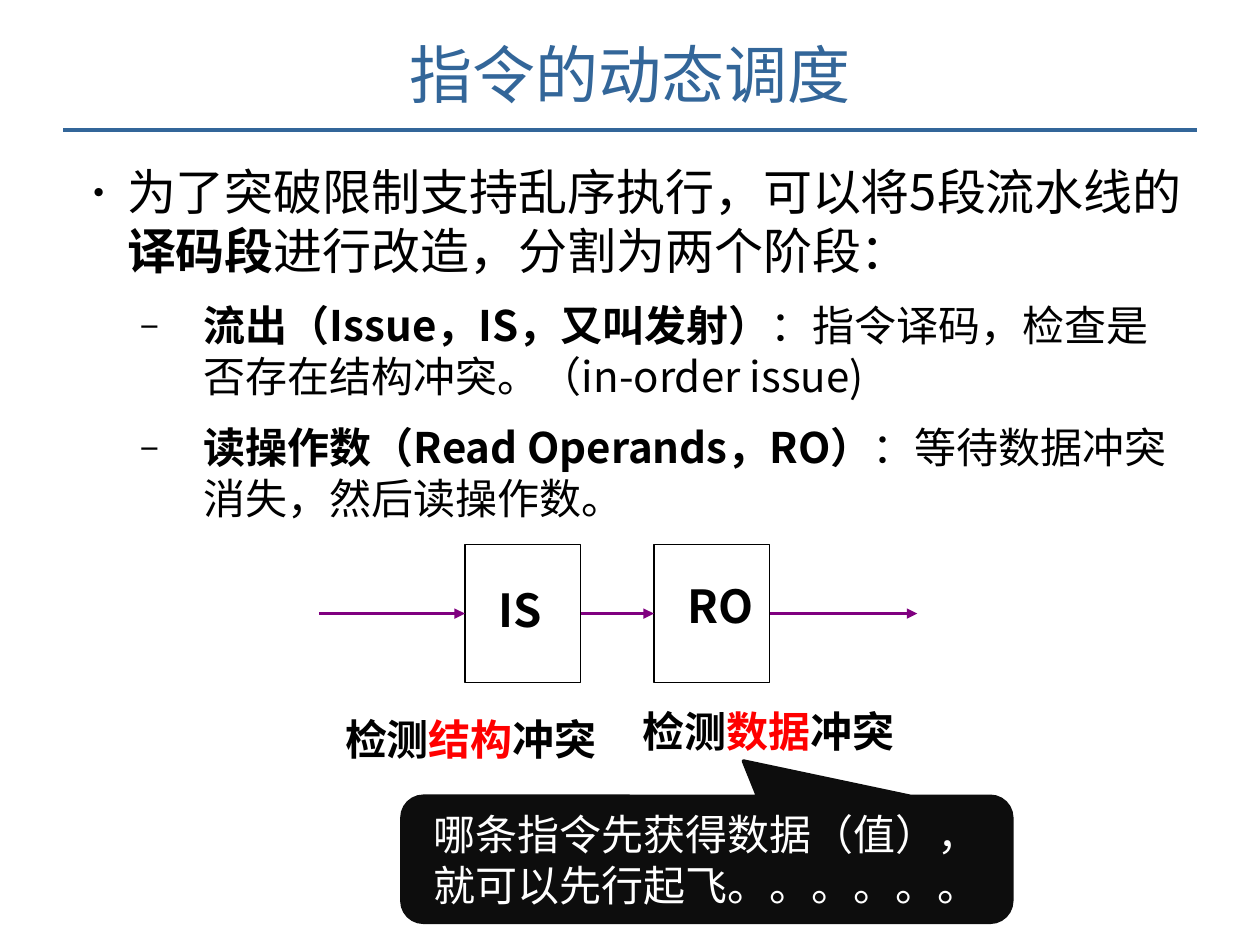
from pptx import Presentation
from pptx.dml.color import RGBColor
from pptx.enum.shapes import MSO_CONNECTOR, MSO_SHAPE
from pptx.enum.text import MSO_ANCHOR, PP_ALIGN
from pptx.oxml.ns import qn
from pptx.util import Inches, Pt
from lxml.etree import SubElement

FONT = "Noto Sans CJK SC"
BLACK, WHITE, RED = "000000", "FFFFFF", "FF0000"
BLUE, PURPLE, CHARCOAL = "336699", "800080", "0D0D0D"
LEFT, RIGHT = 1, 3


def color(hex_text):
    return RGBColor.from_string(hex_text)


def add_span(para, text, size, ink=BLACK, bold=False):
    span = para.add_run()
    span.text = text
    font = span.font
    font.size, font.bold, font.name = Pt(size), bold, FONT
    font.color.rgb = color(ink)
    SubElement(font._element, qn("a:ea"), typeface=FONT)


def add_text_box(page, left, top, width, height):
    box = page.shapes.add_textbox(Inches(left), Inches(top), Inches(width), Inches(height))
    box.text_frame.word_wrap = True
    return box.text_frame


def add_bullet(para, char, left, hanging):
    para.space_before = para.space_after = Pt(6)
    props = para._p.get_or_add_pPr()
    props.set("marL", str(Inches(left)))
    props.set("indent", str(-Inches(hanging)))
    ink = SubElement(props, qn("a:buClr"))
    SubElement(ink, qn("a:srgbClr"), val=BLACK)
    SubElement(props, qn("a:buSzPct"), val="80000")
    SubElement(props, qn("a:buFont"), typeface=FONT)
    SubElement(props, qn("a:buChar"), char=char)


def add_line(page, start, end, ink, width, arrow=False):
    line = page.shapes.add_connector(
        MSO_CONNECTOR.STRAIGHT, *[Inches(value) for value in (*start, *end)])
    line.line.color.rgb = color(ink)
    line.line.width = Pt(width)
    if arrow:
        SubElement(line.line._get_or_add_ln(), qn("a:tailEnd"), type="triangle")
    SubElement(line._element.spPr, qn("a:effectLst"))
    return line


def add_stage(page, left):
    stage = page.shapes.add_shape(
        MSO_SHAPE.RECTANGLE, Inches(left), Inches(4.32), Inches(0.92), Inches(1.1))
    stage.shadow.inherit = False
    stage.fill.background()
    stage.line.color.rgb = color(BLACK)
    stage.line.width = Pt(0.75)
    return stage


def add_stage_name(page, name, left, top):
    para = add_text_box(page, left, top, 1.33, 0.53).paragraphs[0]
    add_span(para, name, 26, bold=True)


def add_check_label(page, hazard, left, top, width, height, spacing=1.0):
    para = add_text_box(page, left, top, width, height).paragraphs[0]
    para.line_spacing = spacing
    for text, ink in (("检测", BLACK), (hazard, RED), ("冲突", BLACK)):
        add_span(para, text, 24, ink, bold=True)


def add_title(page, text):
    para = add_text_box(page, 0, 0.23, 10, 0.75).paragraphs[0]
    para.alignment = PP_ALIGN.CENTER
    add_span(para, text, 36, BLUE)
    add_line(page, (0.5, 1.03), (9.5, 1.03), BLUE, 2)


def add_body(page):
    top_level, sub_level = ("•", 0.38, 0.38), ("−", 0.99, 0.5)
    points = [
        (top_level, 28, [("为了突破限制支持乱序执行，可以将5段流水线的", False),
                         ("译码段", True),
                         ("进行改造，分割为两个阶段：", False)]),
        (sub_level, 24, [("流出（Issue，IS，又叫发射）", True),
                         ("：指令译码，检查是否存在结构冲突。（in-order issue)", False)]),
        (sub_level, 24, [("读操作数（Read Operands，RO）", True),
                         ("：等待数据冲突消失，然后读操作数。", False)]),
    ]
    frame = add_text_box(page, 0.53, 1.23, 8.99, 3.11)
    for index, (bullet, size, spans) in enumerate(points):
        para = frame.add_paragraph() if index else frame.paragraphs[0]
        add_bullet(para, *bullet)
        for text, bold in spans:
            add_span(para, text, size, bold=bold)


def add_pipeline(page):
    issue, read = add_stage(page, 3.69), add_stage(page, 5.19)
    add_stage_name(page, "IS", 3.86, 4.57)
    add_stage_name(page, "RO", 5.36, 4.54)
    middle = 4.87
    for start, end, source, target in (
            (2.53, 3.69, None, issue), (4.61, 5.19, issue, read), (6.11, 7.28, read, None)):
        arrow = add_line(page, (start, middle), (end, middle), PURPLE, 1.5, arrow=True)
        if source is not None:
            arrow.begin_connect(source, RIGHT)
        if target is not None:
            arrow.end_connect(target, LEFT)
    add_check_label(page, "结构", 2.64, 5.53, 2.44, 0.54, spacing=1.2)
    add_check_label(page, "数据", 5, 5.55, 2.95, 0.5)


def add_callout(page, text):
    callout = page.shapes.add_shape(
        MSO_SHAPE.ROUNDED_RECTANGULAR_CALLOUT,
        Inches(3.19), Inches(6.32), Inches(4.84), Inches(1))
    for index, value in enumerate((0.06, -0.78, 0.17)):
        callout.adjustments[index] = value
    callout.shadow.inherit = False
    callout.fill.solid()
    callout.fill.fore_color.rgb = color(CHARCOAL)
    callout.line.color.rgb = color(CHARCOAL)
    callout.line.width = Pt(2)
    frame = callout.text_frame
    frame.word_wrap = True
    frame.vertical_anchor = MSO_ANCHOR.MIDDLE
    para = frame.paragraphs[0]
    para.alignment = PP_ALIGN.CENTER
    add_span(para, text, 24, WHITE)


def main():
    deck = Presentation()
    deck.slide_width, deck.slide_height = Inches(10), Inches(7.5)
    page = deck.slides.add_slide(deck.slide_layouts[6])
    add_title(page, "指令的动态调度")
    add_body(page)
    add_pipeline(page)
    add_callout(page, "哪条指令先获得数据（值），就可以先行起飞。。。。。。")
    deck.save("out.pptx")


if __name__ == "__main__":
    main()
